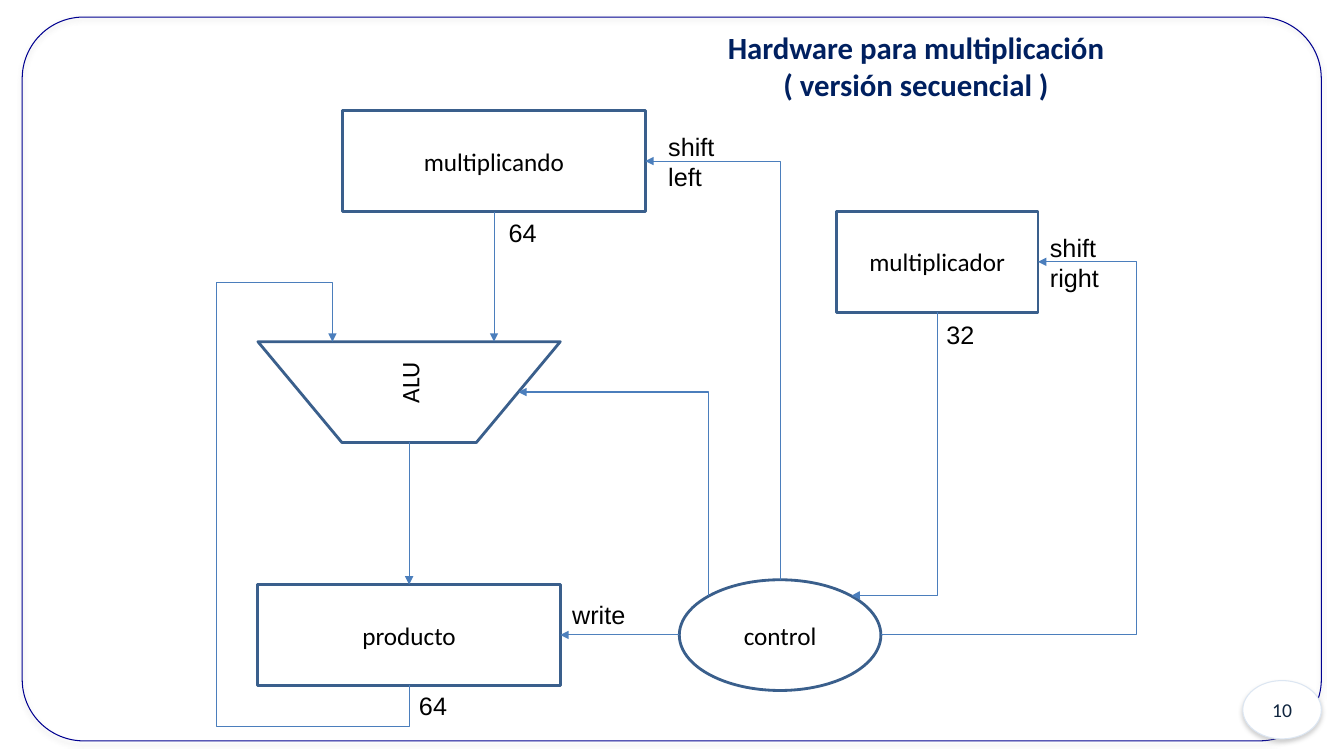
from dataclasses import dataclass

from lxml.etree import SubElement
from pptx import Presentation
from pptx.dml.color import RGBColor
from pptx.enum.shapes import MSO_CONNECTOR as Link, MSO_SHAPE as Preset
from pptx.enum.text import MSO_ANCHOR as Anchor, MSO_AUTO_SIZE as AutoSize, PP_ALIGN as Align
from pptx.oxml.ns import qn
from pptx.util import Cm, Pt

BLOCK_LINE = "3A5F8C"
ARROW_LINE = "4B7EBC"
BLACK = "000000"


@dataclass(frozen=True)
class Style:
    """Type settings of a text."""
    size: int = 18
    font: str = "Calibri"
    color: str = BLACK
    bold: bool = False
    align: Align = Align.CENTER


@dataclass(frozen=True)
class Block:
    """An outlined shape with centred text, in centimetres."""
    preset: Preset
    left: float
    top: float
    width: float
    height: float
    text: str = ""
    line: str = BLOCK_LINE
    weight: float = 2
    fill: str = ""
    style: Style = Style()
    shadow: bool = False
    adjustment: float | None = None
    rotation: int = 0
    vertical: bool = False


@dataclass(frozen=True)
class Arrow:
    """An arrow between two points, straight unless it names a bent preset."""
    start: tuple[float, float]
    end: tuple[float, float]
    bend: str = ""
    rotation: int = 0
    flip: str = ""
    adjustments: tuple[float, ...] = ()
    color: str = ARROW_LINE


LABEL = Style(font="Arial", align=Align.LEFT)
TITLE = Style(22, color="002060", bold=True)


@dataclass(frozen=True)
class Label:
    """A free text of one or more lines, in centimetres."""
    left: float
    top: float
    width: float
    height: float
    lines: tuple[str, ...]
    style: Style = LABEL


BLOCKS = [
    Block(Preset.ROUNDED_RECTANGLE, 0.56, 0.43, 32.74, 18.24, line="000090", weight=0.75,
          shadow=True, adjustment=0.085),
    Block(Preset.OVAL, 31.32, 17.15, 1.98, 1.47, "10", "DCE6F2", 0.75, "FFFFFF",
          Style(14, color="10253F"), shadow=True),
    Block(Preset.RECTANGLE, 8.64, 2.79, 7.62, 2.54, "multiplicando"),
    Block(Preset.RECTANGLE, 6.5, 14.73, 7.62, 2.54, "producto"),
    Block(Preset.TRAPEZOID, 6.5, 8.61, 7.62, 2.54, "ALU", adjustment=0.833, rotation=180,
          vertical=True),
    Block(Preset.RECTANGLE, 21.08, 5.33, 5.08, 2.54, "multiplicador"),
    Block(Preset.OVAL, 17.12, 14.61, 5.08, 2.79, "control"),
]

ARROWS = [
    Arrow((10.31, 17.27), (8.38, 8.61), "bentConnector5", 90, "h", (-0.119, 2.509, 1.171)),
    Arrow((12.45, 5.33), (12.45, 8.61)),
    Arrow((10.31, 11.15), (10.31, 14.73)),
    Arrow((17.12, 16), (14.12, 16), color="4F81BD"),
    Arrow((19.66, 14.61), (16.26, 4.06), "bentConnector2", 270, "v"),
    Arrow((17.86, 15.01), (13.06, 9.88), "bentConnector2", 270, "v"),
    Arrow((22.2, 16), (26.16, 6.6), "bentConnector3", 0, "v", (1.627,)),
    Arrow((23.62, 7.87), (21.46, 15.01), "bentConnector3", 90, "", (0.999,)),
]

LABELS = [
    Label(16.59, 3.18, 1.68, 1.8, ("shift", "left")),
    Label(14.17, 14.99, 1.88, 1.02, ("write",)),
    Label(26.21, 5.72, 1.75, 1.8, ("shift", "right")),
    Label(18.03, 0.61, 10.11, 2.13, ("Hardware para multiplicación", "( versión secuencial )"), TITLE),
    Label(23.6, 7.92, 1.22, 1.02, ("32",)),
    Label(12.57, 5.36, 1.22, 1.02, ("64",)),
    Label(10.31, 17.27, 1.22, 1.02, ("64",)),
]


def rgb(color: str) -> RGBColor:
    """Turn a hex string into a colour."""
    return RGBColor.from_string(color)


def write(frame, lines: tuple[str, ...], style: Style) -> None:
    """Write one paragraph per line."""
    for index, line in enumerate(lines):
        paragraph = frame.add_paragraph() if index else frame.paragraphs[0]
        paragraph.alignment = style.align
        run = paragraph.add_run()
        run.text = line
        run.font.size = Pt(style.size)
        run.font.name = style.font
        run.font.bold = style.bold
        run.font.color.rgb = rgb(style.color)


def cast_shadow(shape) -> None:
    """Give the shape a soft grey shadow below it."""
    effects = shape.element.spPr.find(qn("a:effectLst"))
    outer = SubElement(effects, qn("a:outerShdw"), blurRad="40000", dist="23000",
                       dir="5400000", rotWithShape="0")
    color = SubElement(outer, qn("a:srgbClr"), val="808080")
    SubElement(color, qn("a:alpha"), val="35000")


def draw_block(slide, block: Block) -> None:
    """Draw an outlined shape with its text."""
    shape = slide.shapes.add_shape(block.preset, Cm(block.left), Cm(block.top),
                                   Cm(block.width), Cm(block.height))
    shape.rotation = block.rotation
    if block.adjustment is not None:
        shape.adjustments[0] = block.adjustment
    if block.fill:
        shape.fill.solid()
        shape.fill.fore_color.rgb = rgb(block.fill)
    else:
        shape.fill.background()
    shape.line.color.rgb = rgb(block.line)
    shape.line.width = Pt(block.weight)
    shape.shadow.inherit = False
    if block.shadow:
        cast_shadow(shape)
    if block.text:
        frame = shape.text_frame
        frame.vertical_anchor = Anchor.MIDDLE
        write(frame, (block.text,), block.style)
        if block.vertical:
            frame._txBody.bodyPr.set("vert", "vert")


def draw_arrow(slide, arrow: Arrow) -> None:
    """Draw an arrow, turning the frame of a bent one about its centre."""
    (x1, y1), (x2, y2) = arrow.start, arrow.end
    if arrow.bend:
        half_width, half_height = abs(x2 - x1) / 2, abs(y2 - y1) / 2
        if arrow.rotation % 180:
            half_width, half_height = half_height, half_width
        if arrow.flip == "h":
            half_width = -half_width
        if arrow.flip == "v":
            half_height = -half_height
        middle_x, middle_y = (x1 + x2) / 2, (y1 + y2) / 2
        x1, x2 = middle_x - half_width, middle_x + half_width
        y1, y2 = middle_y - half_height, middle_y + half_height
    kind = Link.ELBOW if arrow.bend else Link.STRAIGHT
    connector = slide.shapes.add_connector(kind, Cm(x1), Cm(y1), Cm(x2), Cm(y2))
    connector.line.color.rgb = rgb(arrow.color)
    connector.line.width = Pt(0.75)
    properties = connector.element.spPr
    SubElement(properties.find(qn("a:ln")), qn("a:tailEnd"), type="triangle")
    SubElement(properties, qn("a:effectLst"))
    if arrow.bend:
        properties.find(qn("a:xfrm")).set("rot", str(arrow.rotation * 60000))
        geometry = properties.find(qn("a:prstGeom"))
        geometry.set("prst", arrow.bend)
        guides = geometry.find(qn("a:avLst"))
        for number, value in enumerate(arrow.adjustments, 1):
            SubElement(guides, qn("a:gd"), name=f"adj{number}", fmla=f"val {round(value * 100000)}")


def draw_label(slide, label: Label) -> None:
    """Draw a free text that does not wrap."""
    box = slide.shapes.add_textbox(Cm(label.left), Cm(label.top), Cm(label.width), Cm(label.height))
    box.text_frame.word_wrap = False
    box.text_frame.auto_size = AutoSize.SHAPE_TO_FIT_TEXT
    write(box.text_frame, label.lines, label.style)


def main() -> None:
    """Build the multiplier hardware slide."""
    presentation = Presentation()
    presentation.slide_width, presentation.slide_height = Cm(33.87), Cm(19.05)
    slide = presentation.slides.add_slide(presentation.slide_layouts[6])
    for draw, items in ((draw_block, BLOCKS), (draw_arrow, ARROWS), (draw_label, LABELS)):
        for item in items:
            draw(slide, item)
    presentation.save("out.pptx")


main()
